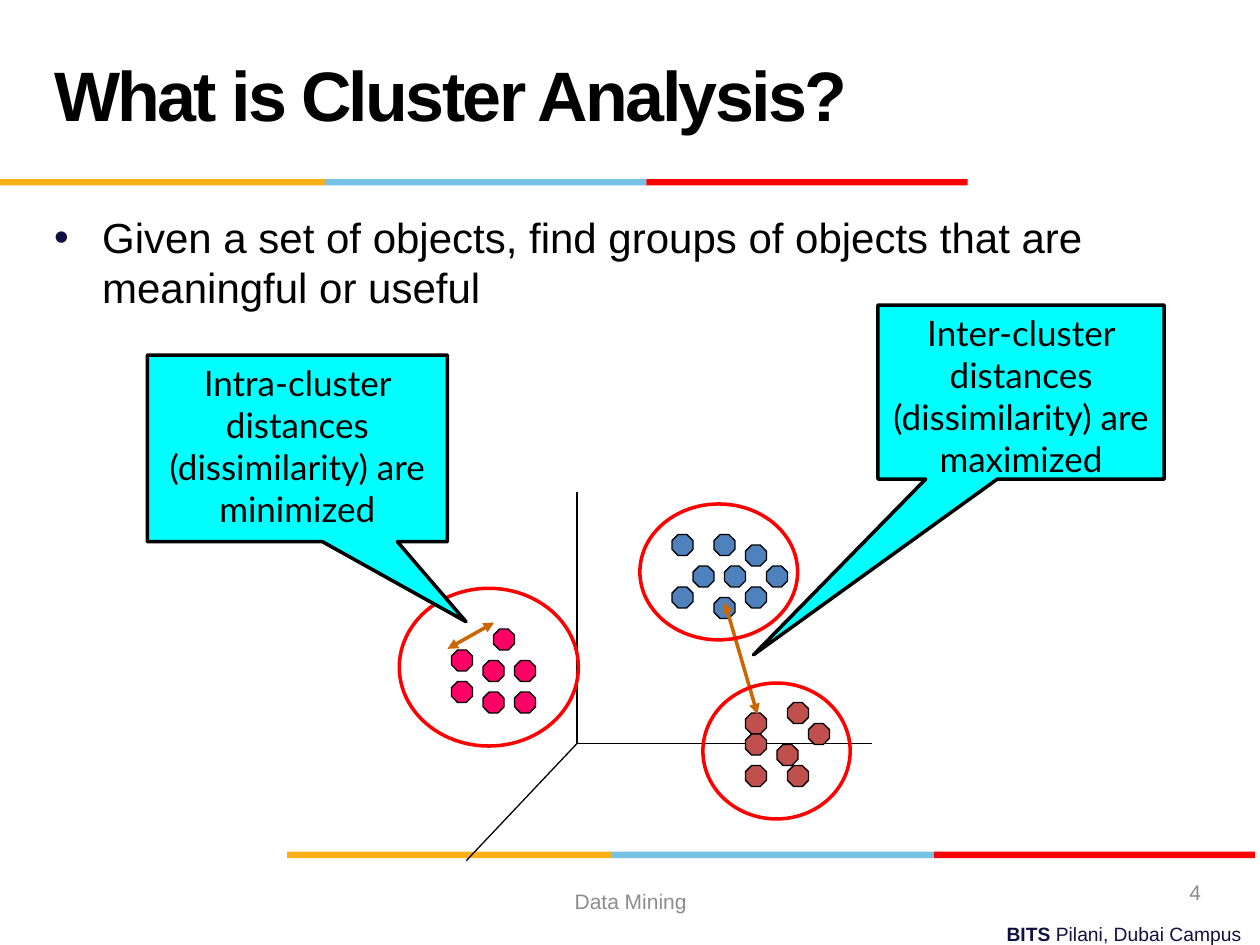
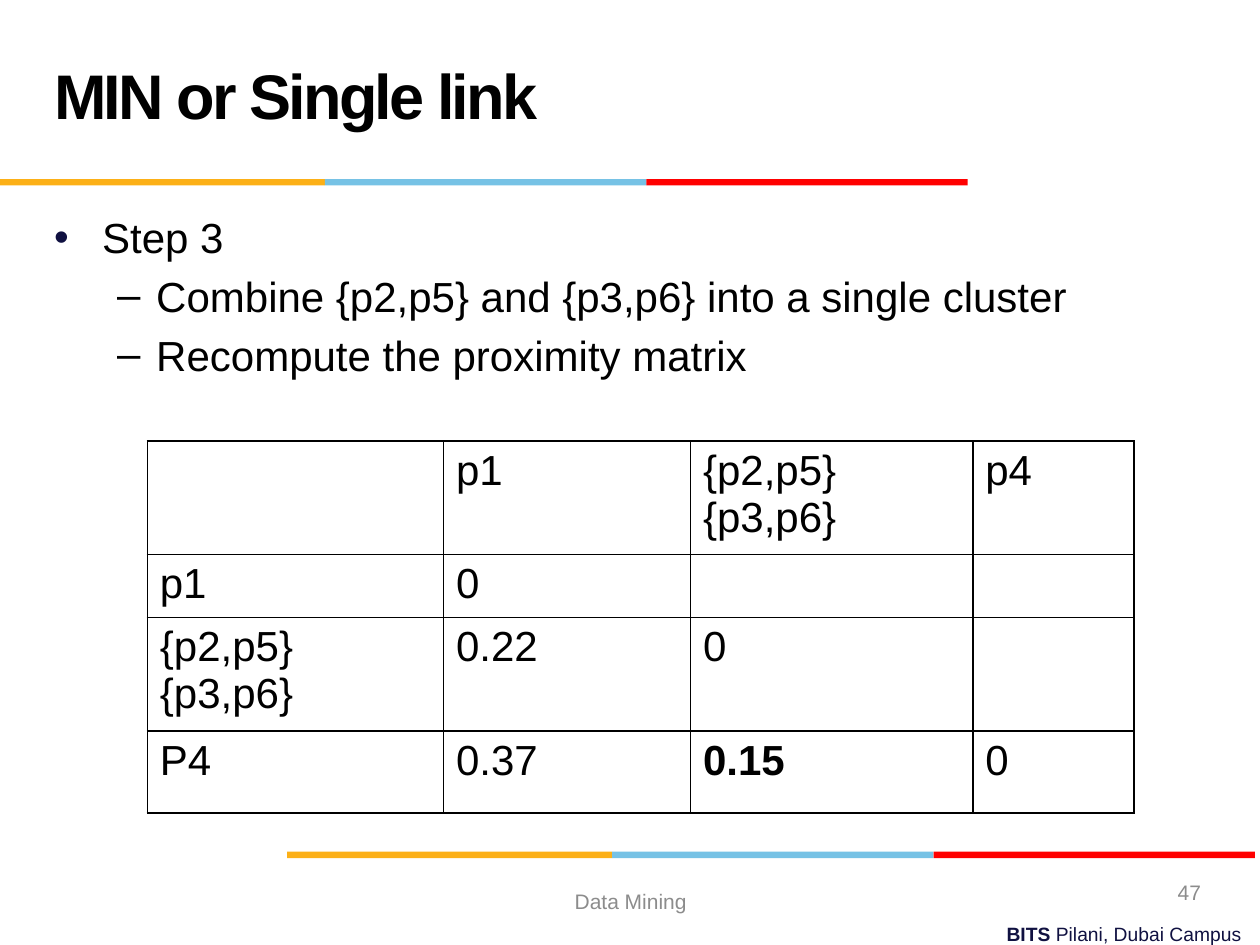
from itertools import accumulate

from lxml.etree import SubElement
from pptx import Presentation
from pptx.dml.color import RGBColor
from pptx.enum.shapes import MSO_CONNECTOR, MSO_SHAPE
from pptx.enum.text import MSO_ANCHOR, PP_ALIGN
from pptx.oxml import parse_xml
from pptx.oxml.ns import nsdecls, qn
from pptx.util import Cm, Pt

COLORS = {
    "black": "000000", "navy": "101141", "gold": "FCB017", "sky": "76C2E5",
    "red": "FF0000", "grey": "8C8C8C", "blue": "4F81BD", "pink": "FF0066",
    "brick": "C0504D", "orange": "CC6600", "cyan": "00FFFF",
}
STEP = 2.54 / 12  # grid of the cluster diagram, in cm
BODY = {"name": "Arial", "size": Pt(24)}
TITLE = {"name": "Arial", "size": Pt(40), "bold": True}
NOTE = {"name": "Lato", "size": Pt(20)}
FOOT = {"name": "Arial", "size": Pt(12)}
BRAND = {"name": "Arial", "size": Pt(11)}
BULLETS = [  # left margin, hanging indent, mark, mark colour
    (0.97, 0.97, "•", "navy"),
    (2.06, 0.79, "–", "black"),
]
BLUE_DOTS = [(66, 54), (69, 54), (68, 51), (68, 57), (73, 54),
             (71, 52), (64, 51), (71, 56), (64, 56)]
PINK_DOTS = [(43, 62), (46, 63), (46, 66), (49, 63), (47, 60),
             (49, 66), (43, 65)]
BRICK_DOTS = [(71, 68), (77, 69), (74, 71), (71, 73), (75, 73),
              (71, 70), (75, 67)]
MATRIX = [
    ["", "p1", "{p2,p5}{p3,p6}", "p4"],
    ["p1", "0", "", ""],
    ["{p2,p5} {p3,p6}", "0.22", "0", ""],
    ["P4", "0.37", "0.15", "0"],
]


def rgb(name):
    return RGBColor.from_string(COLORS[name])


def apply(item, values):
    for key, value in values.items():
        setattr(item, key, value)


def add_run(para, text, look, color="black", **more):
    run = para.add_run()
    run.text = text
    apply(run.font, {**look, **more})
    run.font.color.rgb = rgb(color)
    return run


def add_text(slide, place, anchor=MSO_ANCHOR.TOP):
    """Add an empty text box and return its frame."""
    frame = slide.shapes.add_textbox(*map(Cm, place)).text_frame
    apply(frame, {"word_wrap": True, "vertical_anchor": anchor})
    return frame


def add_shape(slide, kind, place, fill=None, line=None, width=0.75):
    shape = slide.shapes.add_shape(kind, *map(Cm, place))
    shape.shadow.inherit = False
    if fill:
        shape.fill.solid()
        shape.fill.fore_color.rgb = rgb(fill)
    else:
        shape.fill.background()
    if line:
        shape.line.color.rgb = rgb(line)
        shape.line.width = Pt(width)
    else:
        shape.line.fill.background()
    return shape


def add_line(slide, start, end, color="black", width=0.75, heads=False):
    line = slide.shapes.add_connector(
        MSO_CONNECTOR.STRAIGHT, *map(Cm, start + end))
    line.line.color.rgb = rgb(color)
    line.line.width = Pt(width)
    if heads:
        ln = line.line._get_or_add_ln()
        for tag in ("a:headEnd", "a:tailEnd"):
            SubElement(ln, qn(tag), type="triangle")
    SubElement(line._element.spPr, qn("a:effectLst"))


def add_band(slide, left, top):
    widths = [6.55, 6.48, 6.48]
    edges = accumulate(widths, initial=left)
    for x, width, color in zip(edges, widths, ("gold", "sky", "red")):
        add_shape(slide, MSO_SHAPE.RECTANGLE, (x, top, width, 0.13), color)


def add_title(slide, text, place, **more):
    para = add_text(slide, place, MSO_ANCHOR.MIDDLE).paragraphs[0]
    run = add_run(para, text, TITLE, **more)
    run._r.get_or_add_rPr().set("spc", "-150")
    return para


def add_bullets(slide, items):
    """Write (level, text) pairs as the bulleted body."""
    frame = add_text(slide, (0.84, 4.14, 22.86, 12.57))
    for index, (level, text) in enumerate(items):
        para = frame.add_paragraph() if index else frame.paragraphs[0]
        left, hang, mark, color = BULLETS[level]
        props = para._p.get_or_add_pPr()
        props.set("marL", str(Cm(left)))
        props.set("indent", str(-Cm(hang)))
        tint = SubElement(props, qn("a:buClr"))
        SubElement(tint, qn("a:srgbClr"), val=COLORS[color])
        SubElement(props, qn("a:buFont"), typeface="Arial")
        SubElement(props, qn("a:buChar"), char=mark)
        para.level = level
        if index:
            para.space_before = Pt(4.8)
        add_run(para, text, BODY)


def add_base(deck, number):
    """Add a blank slide with the shared bands and footers."""
    slide = deck.slides.add_slide(deck.slide_layouts[6])
    brand = add_text(slide, (8.97, 18.47, 16.31, 0.74)).paragraphs[0]
    brand.alignment = PP_ALIGN.RIGHT
    add_run(brand, "BITS ", BRAND, "navy", bold=True)
    add_run(brand, "Pilani, Dubai Campus", BRAND, "navy")
    add_band(slide, 5.79, 17.17)
    add_band(slide, 0, 3.61)
    for text, place, align in (
        ("Data Mining", (8.69, 17.65, 8.05, 1.02), PP_ALIGN.CENTER),
        (number, (18.54, 17.48, 5.92, 1.02), PP_ALIGN.RIGHT),
    ):
        para = add_text(slide, place, MSO_ANCHOR.MIDDLE).paragraphs[0]
        para.alignment = align
        add_run(para, text, FOOT, "grey")
    return slide


def add_dots(slide, dots, color):
    for col, row in dots:
        place = (col * STEP, row * STEP - 0.02, 2 * STEP, 2 * STEP)
        add_shape(slide, MSO_SHAPE.OCTAGON, place, color, "black")


def add_callout(slide, text, place, tip):
    shape = add_shape(slide, MSO_SHAPE.RECTANGULAR_CALLOUT, place,
                      "cyan", "black", 2)
    for index, value in enumerate(tip):
        shape.adjustments[index] = value
    frame = shape.text_frame
    apply(frame, {"word_wrap": True, "vertical_anchor": MSO_ANCHOR.TOP})
    para = frame.paragraphs[0]
    para.alignment = PP_ALIGN.CENTER
    add_run(para, text, NOTE)


def add_border(cell):
    props = cell._tc.get_or_add_tcPr()
    for index, side in enumerate("LRTB"):
        props.insert(index, parse_xml(
            f'<a:ln{side} {nsdecls("a")} w="12700"><a:solidFill>'
            f'<a:srgbClr val="{COLORS["black"]}"/></a:solidFill></a:ln{side}>'))


def add_matrix(slide, rows, widths, heights):
    table = slide.shapes.add_table(
        len(rows), len(widths), Cm(2.97), Cm(8.89),
        Cm(sum(widths)), Cm(sum(heights))).table
    apply(table, {"first_row": False, "horz_banding": False})
    for col, width in zip(table.columns, widths):
        col.width = Cm(width)
    for row, height, texts in zip(table.rows, heights, rows):
        row.height = Cm(height)
        for cell, text in zip(row.cells, texts):
            cell.fill.background()
            add_border(cell)
            if text:
                add_run(cell.text_frame.paragraphs[0], text, BODY,
                        bold=text == "0.15")


def draw_intro(deck):
    slide = add_base(deck, "4")
    add_bullets(slide, [(0, "Given a set of objects, find groups of objects "
                            "that are meaningful or useful")])
    add_title(slide, "What is Cluster Analysis?", (0.84, 0.3, 16.87, 3.18))
    origin = (11.63, 14.99)
    for end in ((11.63, 9.91), (17.58, 14.99), (9.4, 17.35)):
        add_line(slide, origin, end)
    add_dots(slide, BLUE_DOTS, "blue")
    add_dots(slide, PINK_DOTS, "pink")
    add_dots(slide, BRICK_DOTS, "brick")
    add_line(slide, (15.27, 14.4), (14.61, 12.14), "orange", 2, True)
    add_callout(slide, "Inter-cluster distances (dissimilarity) are maximized",
                (17.7, 6.15, 5.77, 3.51), (-0.935, 1.509))
    for ring in ((8.05, 11.86, 3.61, 3.18), (12.9, 10.16, 3.18, 2.74),
                 (14.17, 13.77, 2.97, 2.74)):
        add_shape(slide, MSO_SHAPE.OVAL, ring, None, "red", 2)
    add_line(slide, (9.02, 13.08), (9.96, 12.55), "orange", 2, True)
    add_callout(slide, "Intra-cluster distances (dissimilarity) are minimized",
                (2.97, 7.16, 6.05, 3.76), (0.562, 0.929))


def draw_link(deck):
    slide = add_base(deck, "47")
    add_bullets(slide, [
        (0, "Step 3"),
        (1, "Combine {p2,p5} and {p3,p6} into a single cluster"),
        (1, "Recompute the proximity matrix"),
    ])
    title = add_title(slide, "MIN or Single link", (0.84, 0.43, 17.58, 3.18),
                      size=Pt(36))
    title.line_spacing = Pt(36)
    add_matrix(slide, MATRIX, (5.97, 4.98, 5.69, 3.25),
               (1.68, 1.27, 1.68, 1.65))


def main():
    deck = Presentation()
    apply(deck, {"slide_width": Cm(25.4), "slide_height": Cm(19.05)})
    draw_intro(deck)
    draw_link(deck)
    deck.save("out.pptx")


if __name__ == "__main__":
    main()
